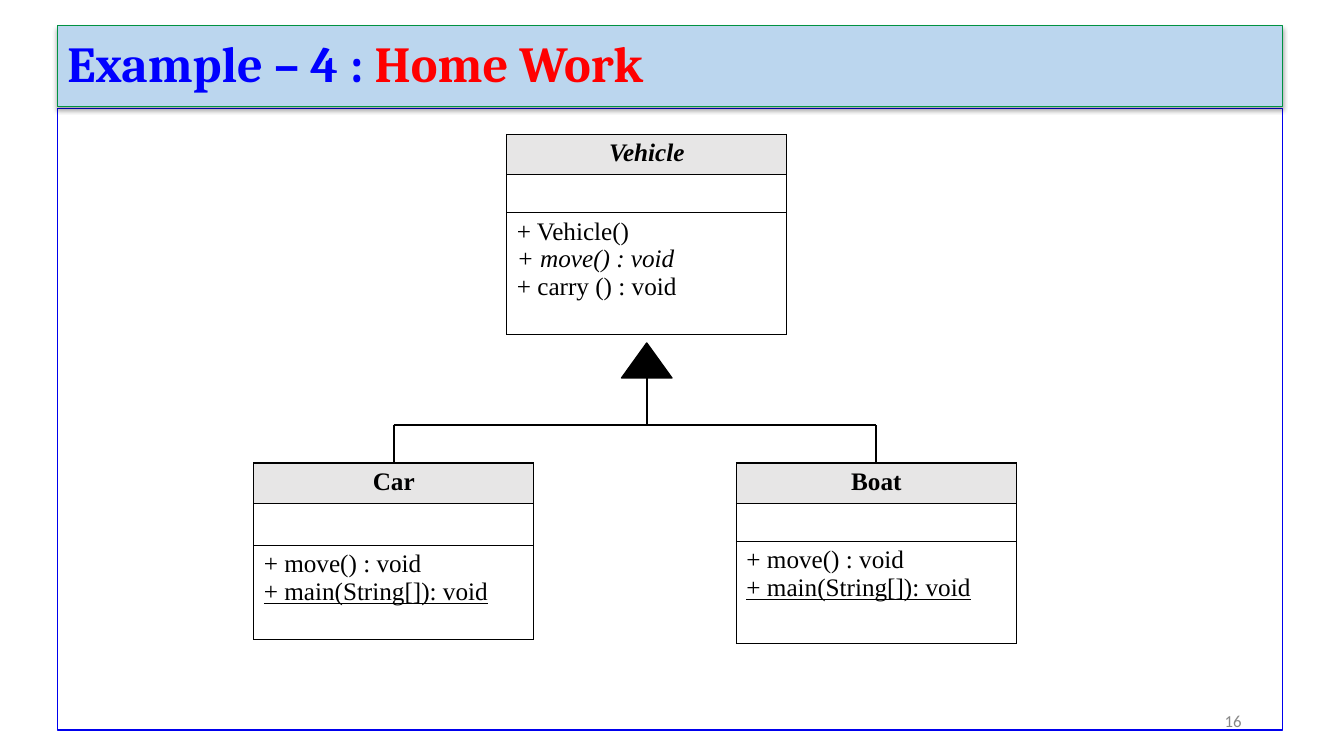
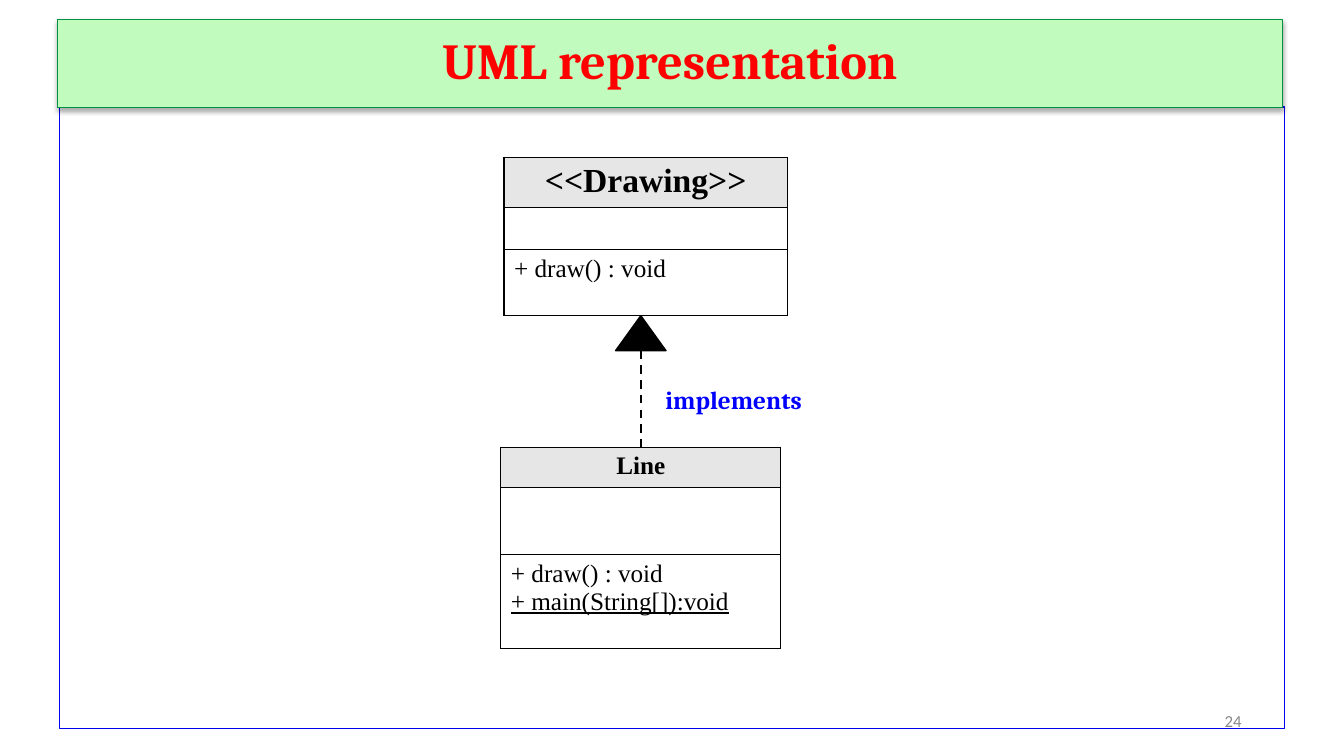
from dataclasses import dataclass

from lxml.etree import SubElement
from pptx import Presentation
from pptx.dml.color import RGBColor
from pptx.enum.dml import MSO_LINE
from pptx.enum.shapes import MSO_CONNECTOR, MSO_SHAPE
from pptx.enum.text import MSO_ANCHOR, MSO_AUTO_SIZE, PP_ALIGN
from pptx.oxml import parse_xml
from pptx.oxml.ns import nsdecls, qn
from pptx.util import Pt

COLORS = {
    "black": "000000", "white": "FFFFFF", "blue": "0000FF", "red": "FF0000",
    "frame": "0000EE", "edge": "009242", "header": "E7E6E6", "number": "888888",
    "sky": "BBD6EE", "mint": "C1FBBD",
}
HEAD_FONT, UML_FONT, NUMBER_FONT = "Cambria", "Times New Roman", "Calibri"
BAND_LEFT, BAND_WIDTH, FRAME_HEIGHT = 41, 875, 444
TRIANGLE_WIDTH, TRIANGLE_HEIGHT = 36, 25


@dataclass(frozen=True)
class Piece:
    text: str
    color: str = "black"
    bold: bool = False
    italic: bool = False
    underline: bool = False


@dataclass(frozen=True)
class UmlClass:
    name: Piece
    left: float
    top: float
    rows: tuple[float, float, float]
    methods: tuple[Piece, ...]
    width: float = 200
    name_size: float = 18

    @property
    def center(self) -> float:
        return self.left + self.width / 2


@dataclass(frozen=True)
class Page:
    title: tuple[Piece, ...]
    fill: str
    align: PP_ALIGN
    title_top: float
    title_height: float
    frame_left: float
    frame_top: float
    number: str


def rgb(name: str) -> RGBColor:
    return RGBColor.from_string(COLORS[name])


def add_run(p, piece: Piece, font: str, size: float) -> None:
    r = p.add_run()
    r.text = piece.text
    f = r.font
    f.name, f.size, f.color.rgb = font, Pt(size), rgb(piece.color)
    f.bold, f.italic, f.underline = piece.bold, piece.italic, piece.underline


def add_box(s, kind: MSO_SHAPE, box: tuple, fill: str, line: str):
    sp = s.shapes.add_shape(kind, *map(Pt, box))
    sp.shadow.inherit = False
    sp.fill.solid()
    sp.fill.fore_color.rgb = rgb(fill)
    sp.line.color.rgb = rgb(line)
    sp.line.width = Pt(1)
    return sp


def add_label(s, box: tuple, piece: Piece, font: str, size: float, align: PP_ALIGN):
    sp = s.shapes.add_textbox(*map(Pt, box))
    tf = sp.text_frame
    tf.word_wrap = True
    tf.vertical_anchor = MSO_ANCHOR.MIDDLE
    p = tf.paragraphs[0]
    p.alignment = align
    add_run(p, piece, font, size)
    return sp


def add_line(s, x1: float, y1: float, x2: float, y2: float, dashed: bool = False) -> None:
    line = s.shapes.add_connector(MSO_CONNECTOR.STRAIGHT, Pt(x1), Pt(y1), Pt(x2), Pt(y2))
    line.line.color.rgb = rgb("black")
    line.line.width = Pt(1.5)
    if dashed:
        line.line.dash_style = MSO_LINE.DASH
    SubElement(line._element.spPr, qn("a:effectLst"))


def add_triangle(s, center: float, top: float) -> None:
    box = (center - TRIANGLE_WIDTH / 2, top, TRIANGLE_WIDTH, TRIANGLE_HEIGHT)
    add_box(s, MSO_SHAPE.ISOSCELES_TRIANGLE, box, "black", "black")


def add_borders(cell) -> None:
    tc_pr = cell._tc.get_or_add_tcPr()
    for i, side in enumerate(("lnL", "lnR", "lnT", "lnB")):
        tc_pr.insert(i, parse_xml(
            f'<a:{side} {nsdecls("a")} w="{Pt(1)}"><a:solidFill>'
            f'<a:srgbClr val="{COLORS["black"]}"/></a:solidFill></a:{side}>'))


def add_class(s, uml: UmlClass) -> None:
    frame = s.shapes.add_table(3, 1, Pt(uml.left), Pt(uml.top),
                               Pt(uml.width), Pt(sum(uml.rows)))
    table = frame.table
    table.first_row = table.horz_banding = False
    parts = ((uml.name,), (), uml.methods)
    for i, (height, pieces) in enumerate(zip(uml.rows, parts)):
        table.rows[i].height = Pt(height)
        cell = table.cell(i, 0)
        if i == 0:
            cell.fill.solid()
            cell.fill.fore_color.rgb = rgb("header")
        else:
            cell.fill.background()
        add_borders(cell)
        tf = cell.text_frame
        for n, piece in enumerate(pieces):
            p = tf.add_paragraph() if n else tf.paragraphs[0]
            p.alignment = PP_ALIGN.LEFT if i else PP_ALIGN.CENTER
            add_run(p, piece, UML_FONT, uml.name_size if i == 0 else 18)
        if not pieces:  # keep the empty attribute row from growing
            SubElement(tf.paragraphs[0]._p, qn("a:endParaRPr"), sz="1200")


def add_page(prs, page: Page):
    s = prs.slides.add_slide(prs.slide_layouts[5])
    # Frame
    add_box(s, MSO_SHAPE.RECTANGLE,
            (page.frame_left, page.frame_top, BAND_WIDTH, FRAME_HEIGHT), "white", "frame")
    # Title band, in front of the frame
    sp = s.shapes.title
    s.shapes._spTree.append(sp._element)
    sp.left, sp.top = Pt(BAND_LEFT), Pt(page.title_top)
    sp.width, sp.height = Pt(BAND_WIDTH), Pt(page.title_height)
    sp.fill.solid()
    sp.fill.fore_color.rgb = rgb(page.fill)
    sp.line.color.rgb = rgb("edge")
    sp.line.width = Pt(0.75)
    sp._element.spPr.append(parse_xml(
        f'<a:effectLst {nsdecls("a")}><a:outerShdw blurRad="{Pt(3.5)}" dist="{Pt(2.2)}" '
        f'dir="5400000" rotWithShape="0"><a:srgbClr val="{COLORS["black"]}">'
        '<a:alpha val="32000"/></a:srgbClr></a:outerShdw></a:effectLst>'))
    tf = sp.text_frame
    tf.auto_size = MSO_AUTO_SIZE.NONE
    tf.vertical_anchor = MSO_ANCHOR.MIDDLE
    p = tf.paragraphs[0]
    p.alignment, p.line_spacing = page.align, 0.9
    for piece in page.title:
        add_run(p, piece, HEAD_FONT, 36)
    # Page number
    add_label(s, (678, 500.5, 216, 28.75), Piece(page.number, "number"),
              NUMBER_FONT, 12, PP_ALIGN.RIGHT)
    return s


def add_inheritance(prs) -> None:
    s = add_page(prs, Page(
        (Piece("Example – 4 : ", "blue", True), Piece("Home Work", "red", True)),
        "sky", PP_ALIGN.LEFT, 18.5, 57.5, 41, 77.5, "16"))
    move = Piece("+ move() : void")
    main_method = Piece("+ main(String[]): void", underline=True)
    vehicle = UmlClass(
        Piece("Vehicle", bold=True, italic=True), 362, 96, (27, 27, 87),
        (Piece("+ Vehicle()"), Piece("+ move() : void", italic=True),
         Piece("+ carry () : void")))
    car = UmlClass(Piece("Car", bold=True), 181.25, 330.75, (27, 30, 67),
                   (move, main_method))
    boat = UmlClass(Piece("Boat", bold=True), 526, 330.75, (27, 27, 73),
                    (move, main_method))
    for uml in (vehicle, car, boat):
        add_class(s, uml)
    # Inheritance tree
    triangle_top, branch = 245, 303.75
    add_triangle(s, vehicle.center, triangle_top)
    add_line(s, vehicle.center, triangle_top + TRIANGLE_HEIGHT, vehicle.center, branch)
    add_line(s, car.center, branch, boat.center, branch)
    for uml in (car, boat):
        add_line(s, uml.center, branch, uml.center, uml.top)


def add_realization(prs) -> None:
    s = add_page(prs, Page((Piece("UML representation", "red", True),), "mint",
                           PP_ALIGN.CENTER, 13.75, 63, 42.5, 76.5, "24"))
    draw = Piece("+ draw() : void")
    drawing = UmlClass(Piece("<<Drawing>>", bold=True), 360, 112.25, (33.5, 30, 47),
                       (draw,), 202.5, 24)
    line = UmlClass(Piece("Line", bold=True), 357.75, 319.5, (27, 48, 67),
                    (draw, Piece("+ main(String[]):void", underline=True)))
    for uml in (drawing, line):
        add_class(s, uml)
    # Dashed realization arrow and its label
    triangle_top = 225.5
    add_line(s, line.center, triangle_top + TRIANGLE_HEIGHT, line.center, line.top, True)
    add_triangle(s, line.center, triangle_top)
    label = add_label(s, (461, 271, 126, 29), Piece("implements", "blue", True),
                      HEAD_FONT, 18, PP_ALIGN.CENTER)
    label.fill.solid()
    label.fill.fore_color.rgb = rgb("white")


def main() -> None:
    prs = Presentation()
    prs.slide_width, prs.slide_height = Pt(960), Pt(540)
    add_inheritance(prs)
    add_realization(prs)
    prs.save("out.pptx")


if __name__ == "__main__":
    main()
